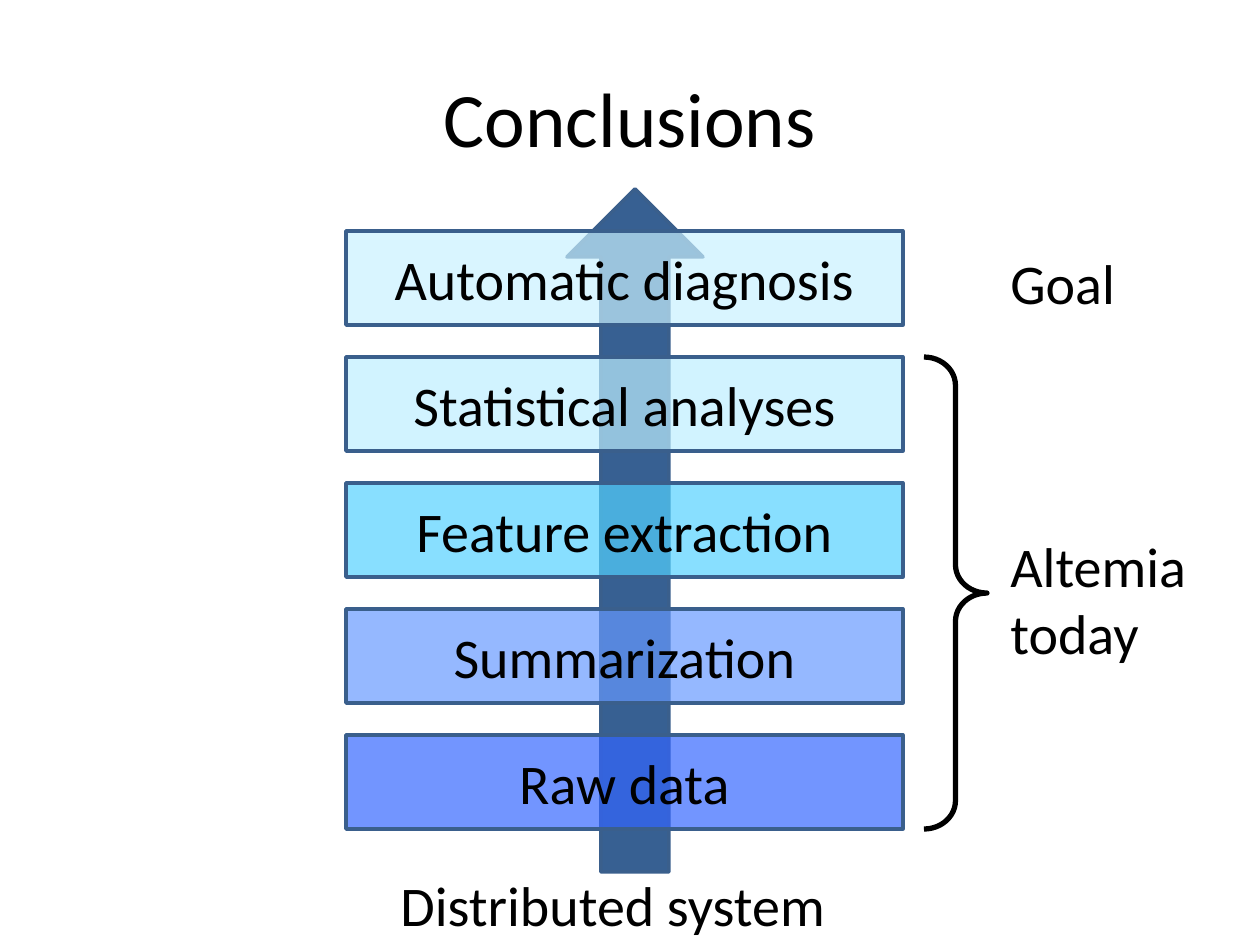
from lxml import etree
from pptx import Presentation
from pptx.dml.color import RGBColor
from pptx.enum.shapes import MSO_SHAPE
from pptx.enum.text import MSO_ANCHOR, PP_ALIGN
from pptx.oxml.ns import qn
from pptx.util import Emu, Pt

RECTANGLE, UP_ARROW, BRACE = MSO_SHAPE.RECTANGLE, MSO_SHAPE.UP_ARROW, MSO_SHAPE.RIGHT_BRACE
LEFT, CENTER = PP_ALIGN.LEFT, PP_ALIGN.CENTER
TOP, MIDDLE = MSO_ANCHOR.TOP, MSO_ANCHOR.MIDDLE

BLACK = RGBColor(0x00, 0x00, 0x00)
ARROW_BLUE = RGBColor(0x37, 0x60, 0x92)
OUTLINE_BLUE = RGBColor(0x3A, 0x5F, 0x8C)

FONT = "Calibri"
EMU_PER_PIXEL = 914400 / 126
LAYER_TOP, LAYER_PITCH = 231, 126
LAYER_OPACITY = 69
LAYERS = [
    ("Automatic diagnosis", RGBColor(0xC9, 0xF1, 0xFF)),
    ("Statistical analyses", RGBColor(0xBD, 0xEE, 0xFF)),
    ("Feature extraction", RGBColor(0x53, 0xD2, 0xFF)),
    ("Summarization", RGBColor(0x66, 0x99, 0xFF)),
    ("Raw data", RGBColor(0x33, 0x66, 0xFF)),
]


def px(*lengths):
    """Turn pixel lengths into EMU."""
    return [Emu(round(length * EMU_PER_PIXEL)) for length in lengths]


def write(shape, text, size=32, align=LEFT, anchor=TOP, wrap=True):
    """Put formatted text into a shape; a vertical tab breaks the line."""
    frame = shape.text_frame
    frame.word_wrap = wrap
    frame.vertical_anchor = anchor
    para = frame.paragraphs[0]
    para.text = text
    para.alignment = align
    for span in para.runs:
        span.font.name = FONT
        span.font.size = Pt(size)
        span.font.color.rgb = BLACK


def add_label(page, text, bounds, **text_format):
    """Add a text box."""
    write(page.shapes.add_textbox(*px(*bounds)), text, **text_format)


def add_figure(page, kind, bounds, fill=None, opacity=100, line=OUTLINE_BLUE, width=2):
    """Add an outlined preset shape, unfilled when no fill is given."""
    shape = page.shapes.add_shape(kind, *px(*bounds))
    shape.shadow.inherit = False
    shape.line.color.rgb = line
    shape.line.width = Pt(width)
    if fill is None:
        shape.fill.background()
    else:
        shape.fill.solid()
        shape.fill.fore_color.rgb = fill
    if opacity < 100:
        color = shape.fill._xPr.find(qn("a:solidFill"))[0]
        etree.SubElement(color, qn("a:alpha"), val=str(opacity * 1000))
    return shape


def add_layers(page):
    """Stack the translucent layers at an equal pitch, lowest one first."""
    for index, (text, color) in reversed(list(enumerate(LAYERS))):
        bounds = (346, LAYER_TOP + index * LAYER_PITCH, 557, 94)
        layer = add_figure(page, RECTANGLE, bounds, fill=color, opacity=LAYER_OPACITY)
        write(layer, text, align=CENTER, anchor=MIDDLE)


def main():
    """Build the slide and save it."""
    deck = Presentation()
    deck.slide_width, deck.slide_height = px(1260, 945)
    page = deck.slides.add_slide(deck.slide_layouts[6])

    add_figure(page, UP_ARROW, (567, 189, 136, 683), fill=ARROW_BLUE)
    add_layers(page)
    brace = add_figure(page, BRACE, (924, 357, 63, 472), line=BLACK, width=3)
    brace.adjustments[0] = 0.45

    add_label(page, "Distributed system", (388, 864, 519, 81))
    add_label(page, "Altemia\vtoday", (998, 525, 204, 149), wrap=False)
    add_label(page, "Goal", (998, 242, 131, 81), wrap=False)
    add_label(page, "Conclusions", (63, 38, 1134, 157), size=44, align=CENTER, anchor=MIDDLE)

    deck.save("out.pptx")


main()
